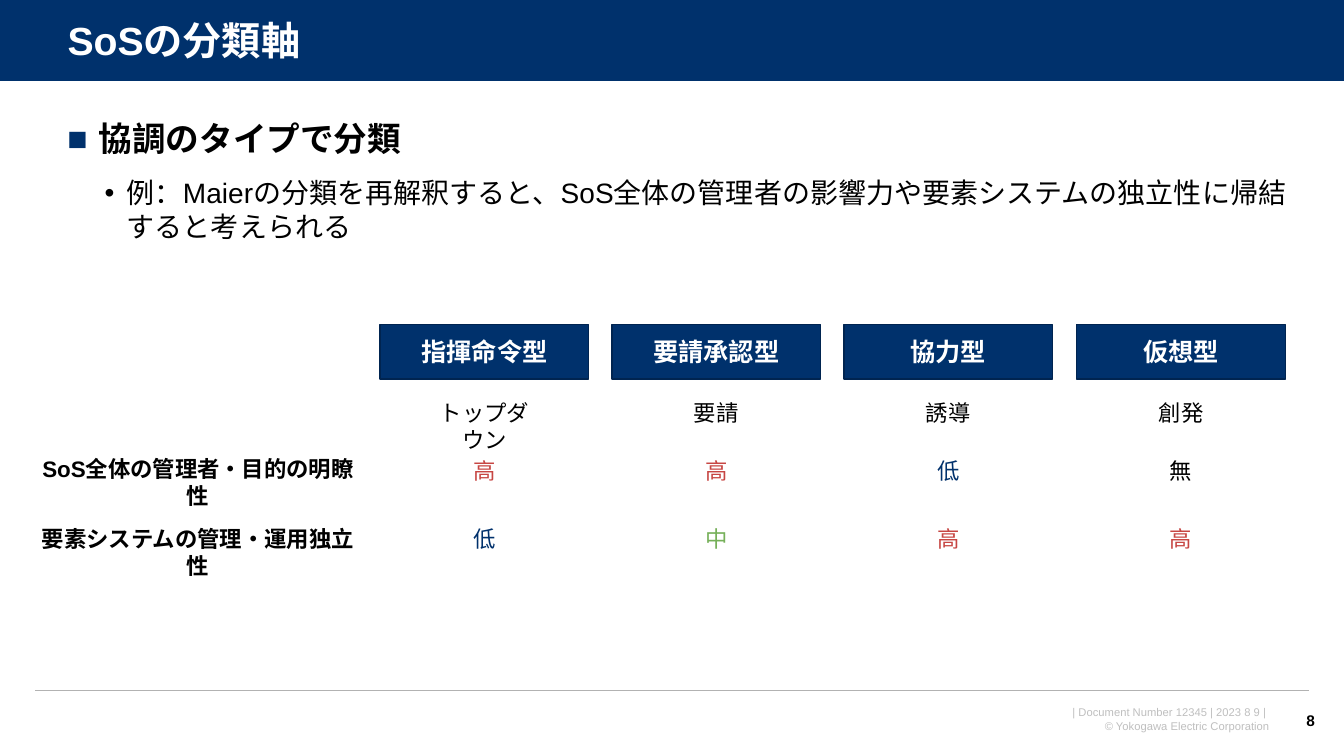
from lxml import etree
from pptx import Presentation
from pptx.dml.color import RGBColor
from pptx.enum.shapes import MSO_CONNECTOR, MSO_SHAPE
from pptx.enum.text import MSO_ANCHOR, MSO_AUTO_SIZE, PP_ALIGN
from pptx.oxml.ns import qn
from pptx.util import Pt

LEFT, CENTER, RIGHT = PP_ALIGN.LEFT, PP_ALIGN.CENTER, PP_ALIGN.RIGHT
TOP, MIDDLE = MSO_ANCHOR.TOP, MSO_ANCHOR.MIDDLE
GROW, FIXED = MSO_AUTO_SIZE.SHAPE_TO_FIT_TEXT, MSO_AUTO_SIZE.NONE
RECTANGLE, STRAIGHT = MSO_SHAPE.RECTANGLE, MSO_CONNECTOR.STRAIGHT
TITLE_ONLY = 5
EMU_PER_PX = 9144

COLORS = {
    "navy": "00316C", "edge": "002450", "white": "FFFFFF", "black": "000000",
    "rule": "B2B2B2", "footer": "BFBFBF", "red": "C74643", "green": "76B059",
}


def px(length):
    return length * EMU_PER_PX


def rgb(color):
    return RGBColor.from_string(COLORS[color])


def apply(target, formats):
    for name, value in formats.items():
        setattr(target, name, value)


class SlideStyle:
    font = "Arial"

    def __init__(self, slide):
        self.slide = slide
        self.shapes = slide.shapes

    def add_text(self, paragraph, text, size, color="black", bold=False, **formats):
        apply(paragraph, formats)
        run = paragraph.add_run()
        run.text = text
        apply(run.font, {"name": self.font, "size": Pt(size), "bold": bold})
        run.font.color.rgb = rgb(color)

    def title(self, text, left, top, width, height):
        heading = self.shapes.title
        apply(heading, {"left": px(left), "top": px(top),
                        "width": px(width), "height": px(height)})
        apply(heading.text_frame, {"vertical_anchor": MIDDLE, "auto_size": FIXED, "word_wrap": True})
        self.add_text(heading.text_frame.paragraphs[0], text, 28, "white", True,
                      alignment=LEFT, line_spacing=0.9)
        self.shapes._spTree.append(heading._element)

    def frame(self, left, top, width, height, **formats):
        frame = self.shapes.add_textbox(px(left), px(top), px(width), px(height)).text_frame
        apply(frame, {"word_wrap": True, "vertical_anchor": TOP, **formats})
        return frame

    def label(self, lines, left, top, width, height, size=16, color="black",
              bold=False, alignment=CENTER, **formats):
        frame = self.frame(left, top, width, height, **formats)
        for index, line in enumerate(lines):
            paragraph = frame.add_paragraph() if index else frame.paragraphs[0]
            self.add_text(paragraph, line, size, color, bold, alignment=alignment)

    def bullet(self, paragraph, mark, color, margin, hanging):
        properties = paragraph._p.get_or_add_pPr()
        properties.set("marL", str(px(margin)))
        properties.set("indent", str(-px(hanging)))
        mark_color = etree.SubElement(properties, qn("a:buClr"))
        etree.SubElement(mark_color, qn("a:srgbClr"), val=COLORS[color])
        etree.SubElement(properties, qn("a:buFont"), typeface=self.font)
        etree.SubElement(properties, qn("a:buChar"), char=mark)

    def box(self, left, top, width, height, edge=None, text=None):
        box = self.shapes.add_shape(RECTANGLE, px(left), px(top), px(width), px(height))
        box.shadow.inherit = False
        box.fill.solid()
        box.fill.fore_color.rgb = rgb("navy")
        if edge:
            box.line.color.rgb = rgb(edge)
            box.line.width = Pt(1)
        else:
            box.line.fill.background()
        if text:
            box.text_frame.vertical_anchor = MIDDLE
            self.add_text(box.text_frame.paragraphs[0], text, 18, "white", True, alignment=CENTER)

    def rule(self, left, right, y, color, weight):
        rule = self.shapes.add_connector(STRAIGHT, px(left), px(y), px(right), px(y))
        rule.line.color.rgb = rgb(color)
        rule.line.width = Pt(weight)
        etree.SubElement(rule._element.spPr, qn("a:effectLst"))


def main():
    deck = Presentation()
    apply(deck, {"slide_width": px(1333), "slide_height": px(750)})
    page = SlideStyle(deck.slides.add_slide(deck.slide_layouts[TITLE_ONLY]))

    page.label(["| Document Number 12345 | 2023 8 9 | ", "© Yokogawa Electric Corporation"],
               948, 695, 321, 37, 8, "footer", alignment=RIGHT, auto_size=GROW)
    page.box(0, 0, 1333, 81)
    page.rule(0, 1333, 81, "white", 0.75)
    page.rule(35, 1298, 685, "rule", 1)
    page.title("SoSの分類軸", 57, 14, 1247, 57)
    page.label(["8"], 1270, 695, 44, 40, 11, bold=True, alignment=RIGHT,
               vertical_anchor=MIDDLE, word_wrap=False)

    summary = page.frame(57, 117, 1240, 57)
    topic = summary.paragraphs[0]
    page.bullet(topic, "■", "navy", 31, 31)
    page.add_text(topic, "協調のタイプで分類", 24, bold=True, line_spacing=0.9)
    example = summary.add_paragraph()
    page.bullet(example, "•", "black", 59, 22)
    page.add_text(example, "例：Maierの分類を再解釈すると、SoS全体の管理者の影響力や"
                  "要素システムの独立性に帰結すると考えられる", 20, level=1, space_before=Pt(12))

    criteria = [("SoS全体の管理者・目的の明瞭性", 447), ("要素システムの管理・運用独立性", 516)]
    for criterion, top in criteria:
        page.label([criterion], 26, top, 341, 37, bold=True, auto_size=GROW)

    row_tops = [391, 449, 516]
    rating_colors = {"高": "red", "中": "green", "低": "navy"}
    sos_types = [
        ("指揮命令型", ["トップダウン", "高", "低"]),
        ("要請承認型", ["要請", "高", "中"]),
        ("協力型", ["誘導", "低", "高"]),
        ("仮想型", ["創発", "無", "高"]),
    ]
    for column, (sos_type, traits) in enumerate(sos_types):
        left = 377 + column * 691 // 3
        page.box(left, 322, 207, 54, "edge", sos_type)
        for trait, top in zip(traits, row_tops):
            page.label([trait], left + 45, top, 117, 37,
                       color=rating_colors.get(trait, "black"), auto_size=GROW)

    deck.save("out.pptx")


if __name__ == "__main__":
    main()
